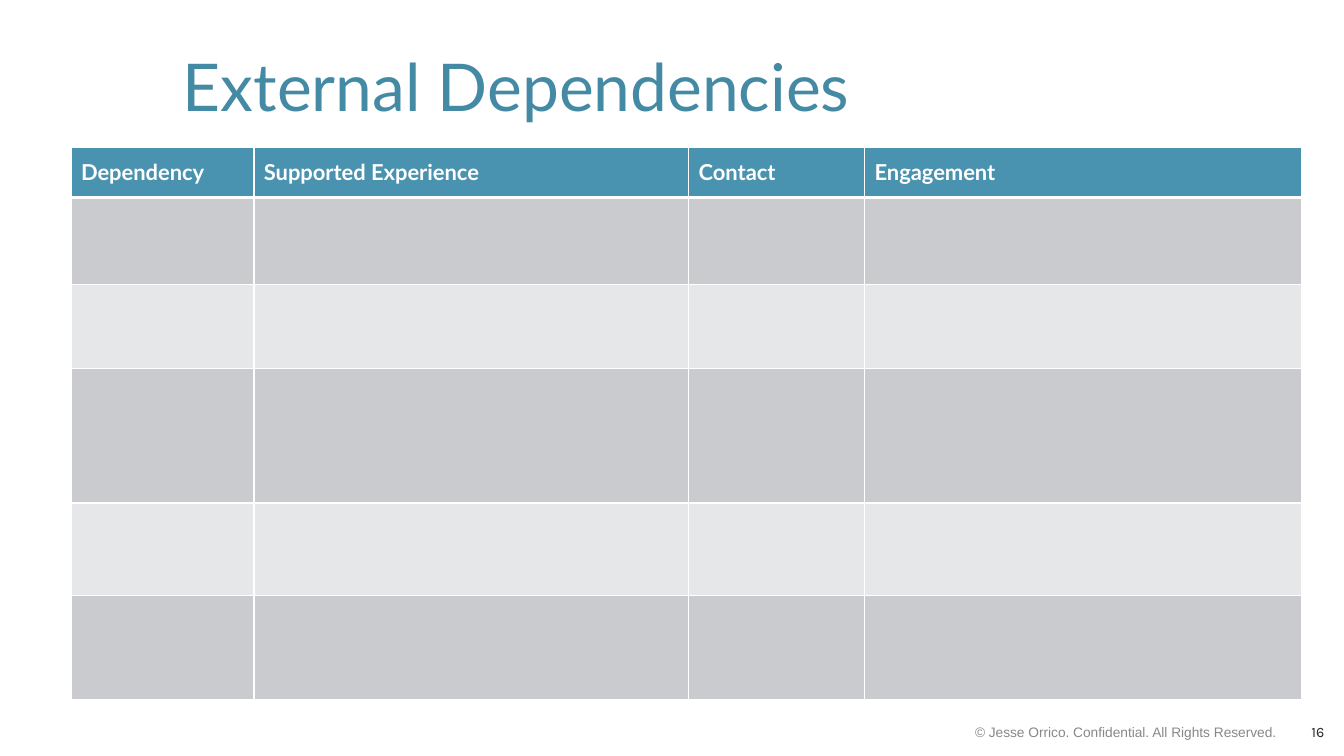
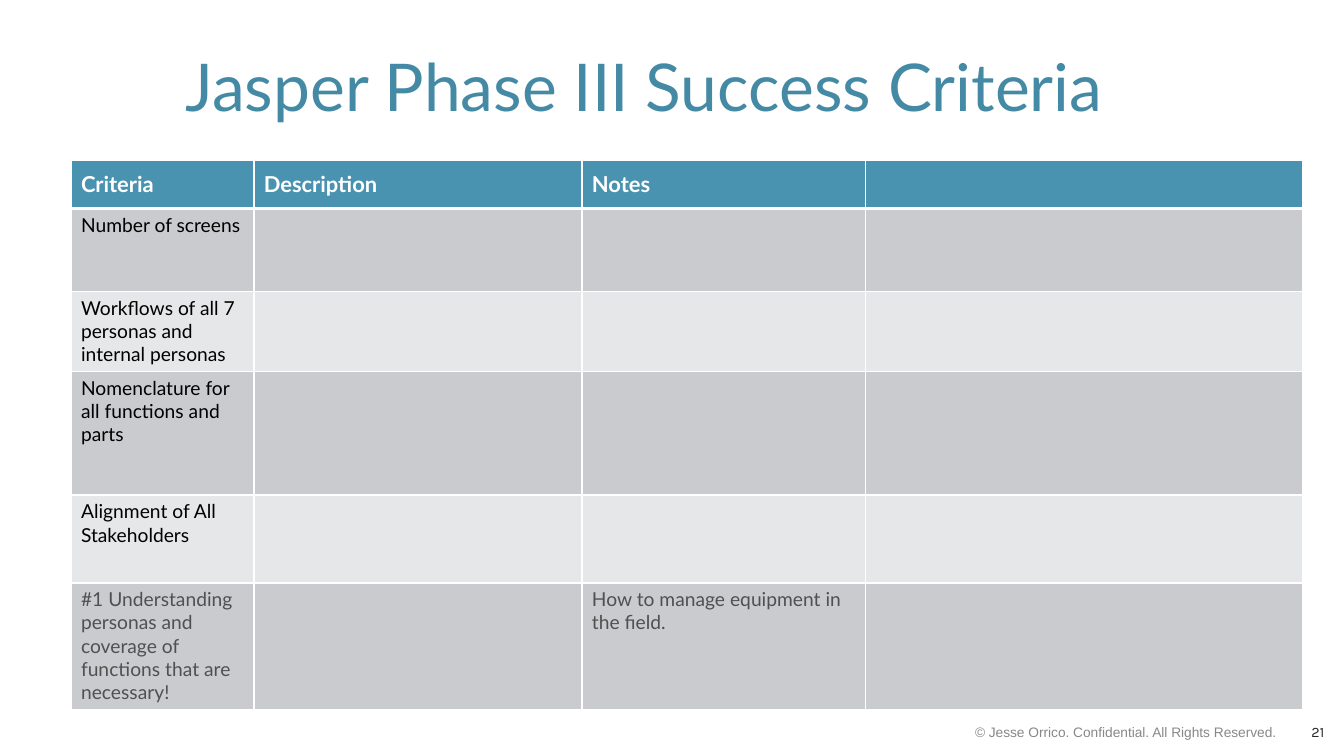
from dataclasses import dataclass, field

from lxml.etree import SubElement
from pptx import Presentation
from pptx.dml.color import RGBColor
from pptx.enum.text import MSO_ANCHOR, MSO_AUTO_SIZE, PP_ALIGN
from pptx.oxml.ns import qn
from pptx.util import Inches, Pt

COLORS = {
    "title": "458AA5",
    "header": "4A93B0",
    "dark band": "CACBCF",
    "light band": "E6E7E8",
    "white": "FFFFFF",
    "black": "000000",
    "note": "505050",
    "footer": "888888",
    "number": "282828",
}

# Text formats: font attributes plus a colour key
FORMATS = {
    "title": {"name": "Lato", "size": Pt(48), "bold": False, "color": "title"},
    "header": {"name": "Lato", "size": Pt(16), "bold": True, "color": "white"},
    "body": {"name": "Lato", "size": Pt(14), "bold": False, "color": "black"},
    "note": {"name": "Lato", "size": Pt(14), "bold": False, "color": "note"},
    "footer": {"name": "Arial", "size": Pt(10), "bold": False, "color": "footer"},
    "number": {"name": "Karla", "size": Pt(10.5), "bold": False, "color": "number"},
}

FOOTER = "© Jesse Orrico. Confidential. All Rights Reserved. "
TABLE_LEFT = 0.72


@dataclass
class TablePage:
    title: str
    title_left: float
    number: int
    table_top: float
    columns: list[float]
    rows: list[float]
    headers: list[str]
    entries: dict[tuple[int, int], str] = field(default_factory=dict)
    note_row: int = 0


# Row heights keep each table above the footer line
PAGES = [
    TablePage(
        title="External Dependencies",
        title_left=1.75,
        number=16,
        table_top=1.49,
        columns=[1.85, 4.4, 1.78, 4.42],
        rows=[0.51, 0.88, 0.85, 1.36, 0.94, 1.05],
        headers=["Dependency", "Supported Experience", "Contact", "Engagement"],
    ),
    TablePage(
        title="Jasper Phase III Success Criteria",
        title_left=1.78,
        number=21,
        table_top=1.62,
        columns=[1.85, 3.32, 2.87, 4.42],
        rows=[0.49, 0.84, 0.81, 1.25, 0.89, 1.28],
        headers=["Criteria", "Description", "Notes", ""],
        entries={
            (1, 0): "Number of screens",
            (2, 0): "Workflows of all 7 personas and internal personas",
            (3, 0): "Nomenclature for all functions and parts",
            (4, 0): "Alignment of All Stakeholders",
            (5, 0): "#1 Understanding personas and coverage of functions that are necessary!",
            (5, 2): "How to manage equipment in the field.",
        },
        note_row=5,
    ),
]


def rgb(key: str) -> RGBColor:
    return RGBColor.from_string(COLORS[key])


def write(frame, text: str, style: str, align=PP_ALIGN.LEFT) -> None:
    """Put one formatted paragraph into a text frame."""
    para = frame.paragraphs[0]
    para.alignment = align
    span = para.add_run() if text else para
    if text:
        span.text = text
    for name, value in FORMATS[style].items():
        if name == "color":
            span.font.color.rgb = rgb(value)
        else:
            setattr(span.font, name, value)


def place(box, left: float, top: float, width: float, height: float) -> None:
    position = {"left": left, "top": top, "width": width, "height": height}
    for name, value in position.items():
        setattr(box, name, Inches(value))
    layout = {
        "word_wrap": True,
        "auto_size": MSO_AUTO_SIZE.NONE,
        "vertical_anchor": MSO_ANCHOR.MIDDLE,
    }
    for name, value in layout.items():
        setattr(box.text_frame, name, value)


def add_frame(slide, page: TablePage) -> None:
    """Title, page number and footer shared by all pages."""
    title = slide.shapes.title
    place(title, page.title_left, 0.36, 10.83, 1)
    write(title.text_frame, page.title, "title")
    for text, style, left, width in (
        (str(page.number), "number", 13.05, 0.45),
        (FOOTER, "footer", 8.55, 4.5),
    ):
        box = slide.shapes.add_textbox(0, 0, 0, 0)
        place(box, left, 7.21, width, 0.4)
        write(box.text_frame, text, style, PP_ALIGN.RIGHT)


def set_borders(cell, top: float, bottom: float) -> None:
    properties = cell._tc.get_or_add_tcPr()
    for side, width in (("L", 1), ("R", 1), ("T", top), ("B", bottom)):
        line = SubElement(properties, qn(f"a:ln{side}"), w=str(Pt(width)))
        fill = SubElement(line, qn("a:solidFill"))
        SubElement(fill, qn("a:srgbClr"), val=COLORS["white"])


def add_grid(slide, page: TablePage) -> None:
    table = slide.shapes.add_table(
        len(page.rows), len(page.columns),
        Inches(TABLE_LEFT), Inches(page.table_top),
        Inches(sum(page.columns)), Inches(sum(page.rows)),
    ).table
    table.first_row = table.horz_banding = False
    for column, width in zip(table.columns, page.columns):
        column.width = Inches(width)
    for index, height in enumerate(page.rows):
        table.rows[index].height = Inches(height)
        is_header = index == 0
        band = "header" if is_header else "dark band" if index % 2 else "light band"
        style = "header" if is_header else "note" if index == page.note_row else "body"
        for position, cell in enumerate(table.rows[index].cells):
            # The rule under the header is thicker than the others
            set_borders(cell, top=3 if index == 1 else 1, bottom=3 if is_header else 1)
            cell.fill.solid()
            cell.fill.fore_color.rgb = rgb(band)
            cell.vertical_anchor = MSO_ANCHOR.MIDDLE if is_header else MSO_ANCHOR.TOP
            text = page.headers[position] if is_header else page.entries.get((index, position), "")
            write(cell.text_frame, text, style)


def main() -> None:
    deck = Presentation()
    deck.slide_width, deck.slide_height = Inches(13.6), Inches(7.65)
    for page in PAGES:
        slide = deck.slides.add_slide(deck.slide_layouts.get_by_name("Title Only"))
        add_frame(slide, page)
        add_grid(slide, page)
    deck.save("out.pptx")


if __name__ == "__main__":
    main()
